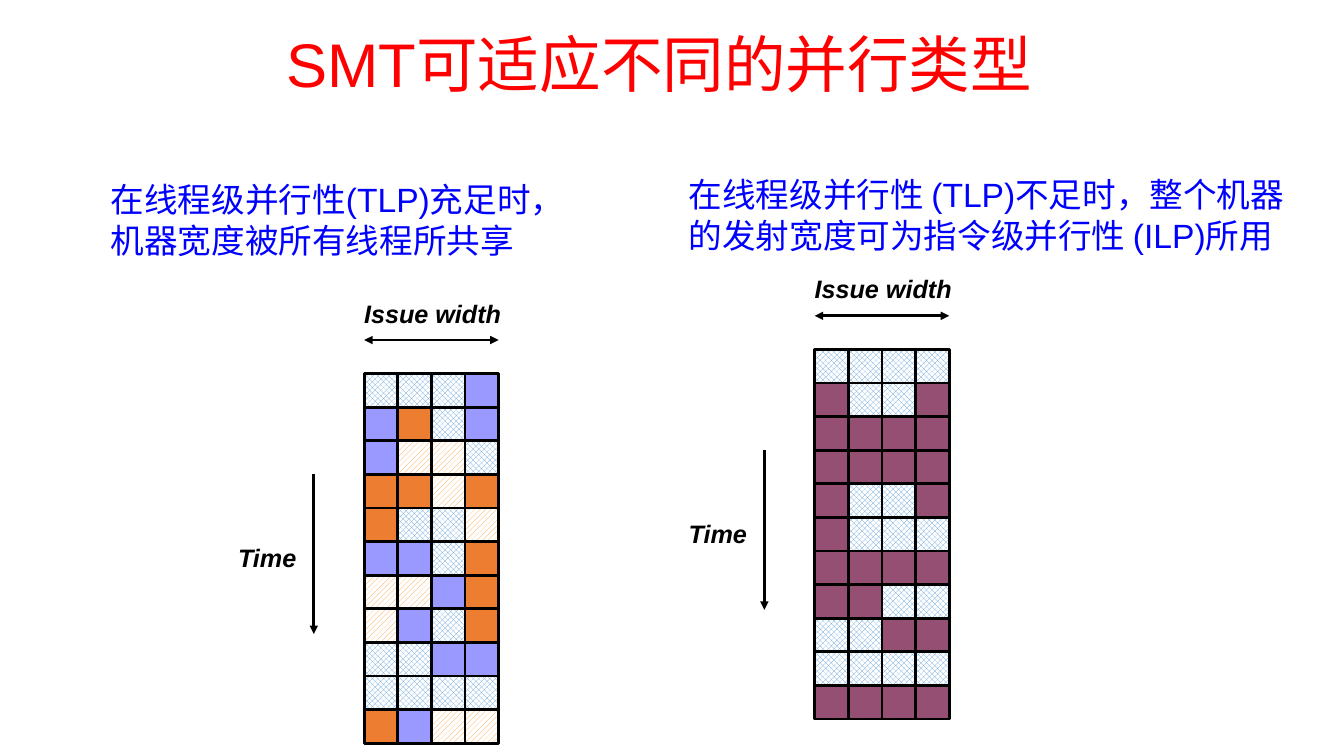
import dataclasses
import pptx
import pptx.util
import pptx.dml.color
import pptx.enum.dml
import pptx.enum.shapes
import pptx.enum.text
import pptx.oxml
import pptx.oxml.ns

PATTERN = pptx.enum.dml.MSO_PATTERN
ANCHOR = pptx.enum.text.MSO_ANCHOR
COLUMNS, ROWS = 40, 22.5
UNIT = pptx.util.Inches(1) / 3


@dataclasses.dataclass(frozen=True)
class Theme:
    font: str = "Arial"
    title: str = "FF0000"
    body: str = "0000FF"
    ink: str = "000000"
    paper: str = "FFFFFF"
    idle: str = "5B9BD5"
    thread_a: str = "9999FF"
    thread_b: str = "ED7D31"
    thread_c: str = "FF9933"
    single: str = "954F72"
    title_size: int = 44
    body_size: int = 24
    label_size: int = 18
    line_width: int = 2


def units(n):
    return pptx.util.Emu(round(n * UNIT))


def rgb(value):
    return pptx.dml.color.RGBColor.from_string(value)


class SlideBuilder:
    """Draws on one slide; all lengths are grid columns and rows."""

    def __init__(self, slide, theme):
        self.slide = slide
        self.theme = theme
        # Slot letter: colour and pattern (None is a solid fill)
        self.slot_styles = {
            ".": (theme.idle, PATTERN.SOLID_DIAMOND),
            "A": (theme.thread_a, None),
            "B": (theme.thread_b, PATTERN.DARK_HORIZONTAL),
            "C": (theme.thread_c, PATTERN.WIDE_UPWARD_DIAGONAL),
            "S": (theme.single, None),
        }

    def text(self, content, col, row, width, height, size, color, wrap=True):
        sp = self.slide.shapes.add_textbox(
            units(col), units(row), units(width), units(height))
        tf = sp.text_frame
        tf.text = content
        tf.word_wrap = wrap
        font = tf.paragraphs[0].runs[0].font
        font.name = self.theme.font
        font.size = pptx.util.Pt(size)
        font.color.rgb = rgb(color)
        return sp

    def title(self, content, *box):
        sp = self.text(content, *box, self.theme.title_size, self.theme.title)
        sp.text_frame.vertical_anchor = ANCHOR.MIDDLE
        sp.text_frame.paragraphs[0].line_spacing = 0.9

    def body(self, content, *box):
        self.text(content, *box, self.theme.body_size, self.theme.body)

    def label(self, content, *box):
        sp = self.text(content, *box, self.theme.label_size, self.theme.ink,
                       wrap=False)
        sp.text_frame.auto_size = pptx.enum.text.MSO_AUTO_SIZE.SHAPE_TO_FIT_TEXT
        font = sp.text_frame.paragraphs[0].runs[0].font
        font.bold = font.italic = True

    def outline(self, line):
        line.color.rgb = rgb(self.theme.ink)
        line.width = pptx.util.Pt(self.theme.line_width)

    def slot(self, kind, col, row):
        sp = self.slide.shapes.add_shape(
            pptx.enum.shapes.MSO_SHAPE.RECTANGLE,
            units(col), units(row), units(1), units(1))
        sp.shadow.inherit = False
        color, pattern = self.slot_styles[kind]
        if pattern is None:
            sp.fill.solid()
            sp.fill.fore_color.rgb = rgb(color)
        else:
            sp.fill.patterned()
            sp.fill.pattern = pattern
            sp.fill.fore_color.rgb = rgb(color)
            sp.fill.back_color.rgb = rgb(self.theme.paper)
        self.outline(sp.line)

    def arrow(self, col1, row1, col2, row2, ends=("tailEnd",)):
        cxn = self.slide.shapes.add_connector(
            pptx.enum.shapes.MSO_CONNECTOR.STRAIGHT,
            units(col1), units(row1), units(col2), units(row2))
        self.outline(cxn.line)
        ln = cxn.line._get_or_add_ln()
        for end in ends:
            pptx.oxml.ns.qn("a:" + end)
            ln.append(pptx.oxml.parse_xml(
                f'<a:{end} {pptx.oxml.ns.nsdecls("a")} type="triangle"/>'))
        cxn._element.spPr.append(pptx.oxml.parse_xml(
            f'<a:effectLst {pptx.oxml.ns.nsdecls("a")}/>'))

    def issue_chart(self, slots, col, row):
        """Draws issue slots, one string per cycle, with both axes."""
        for i, cycle in enumerate(slots):
            for j, kind in enumerate(cycle):
                self.slot(kind, col + j, row + i)
        self.arrow(col, row - 1, col + len(slots[0]), row - 1,
                   ends=("headEnd", "tailEnd"))
        self.label("Issue width", col - 0.3, row - 2.4, 4.68, 1.2)
        self.arrow(col - 1.5, row + 3, col - 1.5, row + 7.75)
        self.label("Time", col - 4.05, row + 4.87, 2.34, 1.2)


SHARED_SLOTS = ["...A", "AB.A", "ACC.", "BBCB", "B..C", "AA.B",
                "CCAB", "CA.B", "..AA", "....", "BACC"]
SINGLE_SLOTS = ["....", "S..S", "SSSS", "SSSS", "S..S", "S...",
                "SSSS", "SS..", "..SS", "....", "SSSS"]


def main():
    prs = pptx.Presentation()
    prs.slide_width, prs.slide_height = units(COLUMNS), units(ROWS)
    s = SlideBuilder(prs.slides.add_slide(prs.slide_layouts[6]), Theme())

    s.title("SMT可适应不同的并行类型", 8.22, 0.12, 23.5, 3.75)
    s.body("在线程级并行性(TLP)充足时，机器宽度被所有线程所共享",
           3, 5.19, 13.71, 2.37)
    s.issue_chart(SHARED_SLOTS, 10.84, 11.12)
    s.issue_chart(SINGLE_SLOTS, 24.25, 10.4)
    s.body("在线程级并行性 (TLP)不足时，整个机器的发射宽度可为指令级并行性 (ILP)所用",
           20.2, 5.04, 18.7, 3.42)

    prs.save("out.pptx")


if __name__ == "__main__":
    main()
